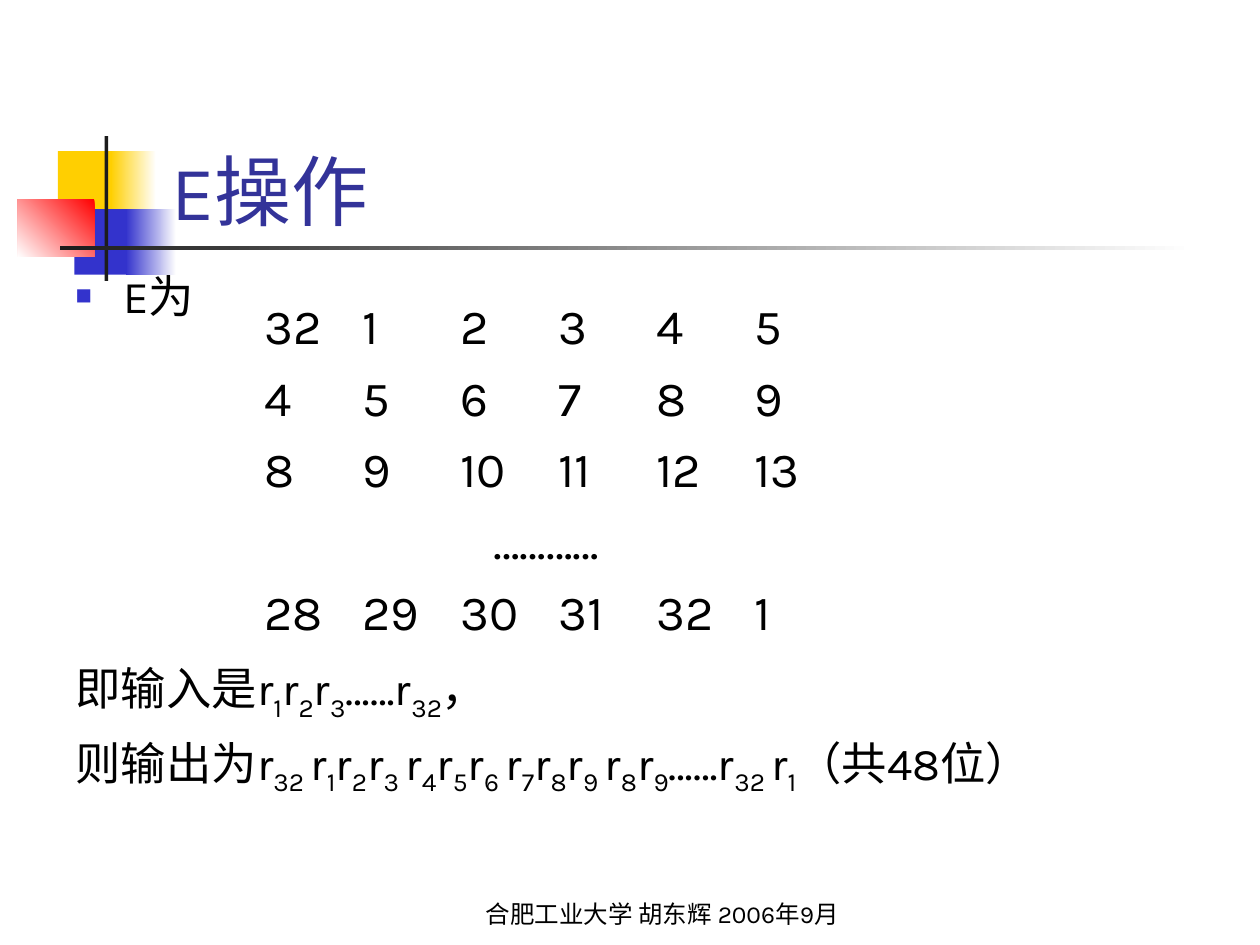
from lxml import etree
from pptx import Presentation
from pptx.dml.color import RGBColor
from pptx.enum.shapes import MSO_SHAPE
from pptx.enum.text import MSO_ANCHOR, MSO_AUTO_SIZE, PP_ALIGN
from pptx.oxml.ns import qn
from pptx.util import Inches, Pt

RECT = MSO_SHAPE.RECTANGLE
BOTTOM, TOP = MSO_ANCHOR.BOTTOM, MSO_ANCHOR.TOP
LEFT, CENTER = PP_ALIGN.LEFT, PP_ALIGN.CENTER
NO_FIT = MSO_AUTO_SIZE.NONE

W, H = Inches(10), Inches(7.5)
COL, ROW = W / 100, H / 75
FONT = "Karla"
BLACK, WHITE, BLUE, YELLOW = "000000", "FFFFFF", "3333CC", "FFCF01"
EXPANSION = [
    [32, 1, 2, 3, 4, 5],
    [4, 5, 6, 7, 8, 9],
    [8, 9, 10, 11, 12, 13],
    ["…………"],
    [28, 29, 30, 31, 32, 1],
]


def rgb(value):
    return RGBColor.from_string(value)


def grid(x, y, w, h):
    return round(x * COL), round(y * ROW), round(w * COL), round(h * ROW)


def place(shape, box):
    shape.left, shape.top, shape.width, shape.height = grid(*box)


def write(p, text, size=28, color=BLACK, align=LEFT, before=0):
    p.alignment = align
    p.space_before = Pt(before)
    for i, part in enumerate(text.split("_")):
        r = p.add_run()
        r.text = part
        r.font.size = Pt(size)
        r.font.name = FONT
        r.font.color.rgb = rgb(color)
        if i % 2:
            r.font._element.set("baseline", "-25000")


def set_bullet(p, char=None, color=BLUE, percent=60):
    pPr = p._p.get_or_add_pPr()
    pPr.set("marL", str(Inches(0.38)))
    pPr.set("indent", str(-Inches(0.38)))
    if not char:
        etree.SubElement(pPr, qn("a:buNone"))
        return
    clr = etree.SubElement(pPr, qn("a:buClr"))
    etree.SubElement(clr, qn("a:srgbClr"), val=color)
    etree.SubElement(pPr, qn("a:buSzPct"), val=str(percent * 1000))
    etree.SubElement(pPr, qn("a:buChar"), char=char)


def set_frame(tf, anchor):
    tf.word_wrap = True
    tf.auto_size = NO_FIT
    tf.vertical_anchor = anchor


def add_block(s, box, colors, angle=180):
    sp = s.shapes.add_shape(RECT, *grid(*box))
    sp.shadow.inherit = False
    sp.line.fill.background()
    if len(colors) == 1:
        sp.fill.solid()
        sp.fill.fore_color.rgb = rgb(colors[0])
        return
    sp.fill.gradient()
    sp.fill.gradient_angle = angle
    for stop, color in zip(sp.fill.gradient_stops, colors):
        stop.color.rgb = rgb(color)


def add_motif(s, x, y):
    parts = [
        ((3.2, 1.2, 4.8, 5.2), [YELLOW]),
        ((7.4, 1.2, 3.6, 5.2), [WHITE, YELLOW]),
        ((4.5, 5.8, 4.6, 5.2), [BLUE]),
        ((8.6, 5.8, 4, 5.2), [WHITE, BLUE]),
        ((0, 5, 6.1, 4.6), ["FF0000", WHITE], 225),
        ((6.9, 0, 0.3, 11.5), ["1C1C1C"]),
        ((3.4, 8.7, 90, 0.35), [WHITE, "1C1C1C"]),
    ]
    for (dx, dy, w, h), *fill in parts:
        add_block(s, (x + dx, y + dy, w, h), *fill)


def fill_title(sp, box):
    place(sp, box)
    set_frame(sp.text_frame, BOTTOM)
    write(sp.text_frame.paragraphs[0], "E操作", size=44, color="333399")


def fill_body(sp, box):
    place(sp, box)
    tf = sp.text_frame
    set_frame(tf, TOP)
    lines = [
        ("E为", "■", 0),
        ("即输入是r_1_r_2_r_3_……r_32_，", None, 193),
        ("则输出为r_32 _r_1_r_2_r_3 _r_4_r_5_r_6 _r_7_r_8_r_9 _r_8_r_9_……r_32 _r_1_（共48位）", None, 7),
    ]
    for i, (text, char, before) in enumerate(lines):
        p = tf.add_paragraph() if i else tf.paragraphs[0]
        set_bullet(p, char)
        write(p, text, size=25.9, before=before)


def add_expansion_table(s, box):
    rows, cols = len(EXPANSION), len(EXPANSION[0])
    table = s.shapes.add_table(rows, cols, *grid(*box)).table
    table.first_row = table.horz_banding = False
    for cell in table.iter_cells():
        cell.fill.background()
    for i, values in enumerate(EXPANSION):
        single = len(values) == 1
        if single:
            table.cell(i, 0).merge(table.cell(i, cols - 1))
        for j, value in enumerate(values):
            p = table.cell(i, j).text_frame.paragraphs[0]
            write(p, str(value), align=CENTER if single else LEFT)


def add_footer(s, box):
    tf = s.shapes.add_textbox(*grid(*box)).text_frame
    set_frame(tf, BOTTOM)
    write(tf.paragraphs[0], "合肥工业大学 胡东辉 2006年9月", size=14, align=CENTER)


def main():
    prs = Presentation()
    prs.slide_width, prs.slide_height = W, H
    s = prs.slides.add_slide(prs.slide_layouts[1])
    title, body = s.placeholders
    add_motif(s, 1.4, 10.8)
    for sp in (title, body):
        sp.element.getparent().append(sp.element)
    fill_title(title, (12.6, 6.7, 85.2, 12.5))
    fill_body(body, (5, 20.8, 88.3, 45))
    add_expansion_table(s, (20, 23.3, 46.7, 28.4))
    add_footer(s, (36.7, 69.2, 31.7, 5))
    prs.save("out.pptx")


if __name__ == "__main__":
    main()
